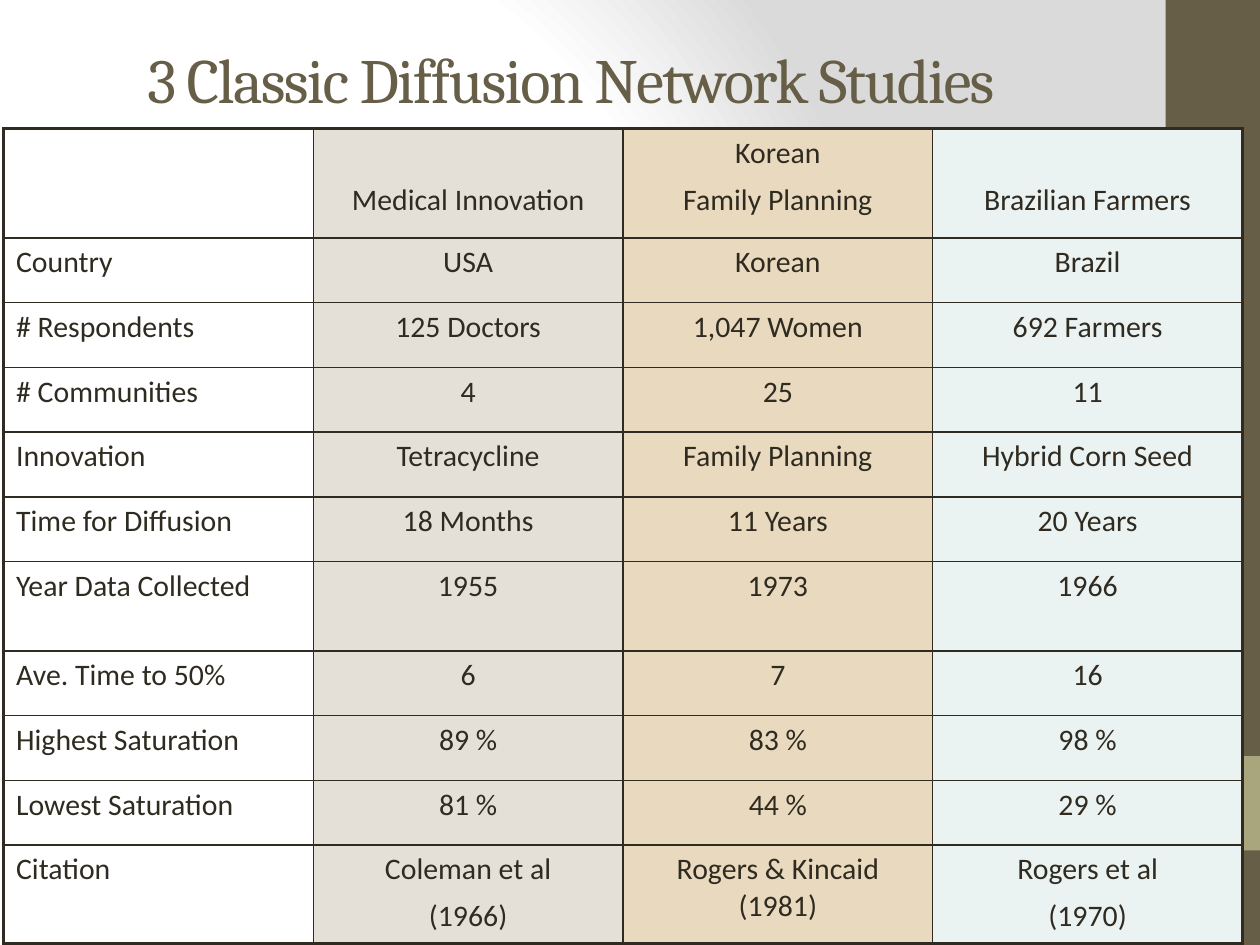
import pptx
import pptx.dml.color
import pptx.enum.shapes
import pptx.enum.text
import pptx.oxml
import pptx.oxml.ns
import pptx.util
from pptx.util import Pt

TITLE = "3 Classic Diffusion Network Studies"
STUDIES = [
    ["", "Medical Innovation", "Korean\nFamily Planning", "Brazilian Farmers"],
    ["Country", "USA", "Korean", "Brazil"],
    ["# Respondents", "125 Doctors", "1,047 Women", "692 Farmers"],
    ["# Communities", "4", "25", "11"],
    ["Innovation", "Tetracycline", "Family Planning", "Hybrid Corn Seed"],
    ["Time for Diffusion", "18 Months", "11 Years", "20 Years"],
    ["Year Data Collected", "1955", "1973", "1966"],
    ["Ave. Time to 50%", "6", "7", "16"],
    ["Highest Saturation", "89 %", "83 %", "98 %"],
    ["Lowest Saturation", "81 %", "44 %", "29 %"],
    ["Citation", "Coleman et al\n(1966)", "Rogers & Kincaid (1981)", "Rogers et al\n(1970)"],
]
COLUMN_FILLS = [None, "E4E0D7", "E9D9BE", "EBF2F2"]
ROW_HEIGHT = 37
TALL_ROWS = {0: 62.5, 6: 51, 10: 56.5}
COLUMN_WIDTH = 177
TABLE_LEFT, TABLE_TOP = 2, 73.5
ONE_LINE_DOWN = 30.35

INK, BROWN, OLIVE = "2F2B20", "675E47", "A9A57C"
BACKGROUND_STOPS = [(0, "FFFFFF"), (75, "FFFFFF"), (100, "DADADA")]
SIDEBAR = [(0, 540, BROWN), (432, 54, OLIVE)]
SIDEBAR_LEFT, SIDEBAR_WIDTH = 666, 54

ALIGN = pptx.enum.text.PP_ALIGN
NAMESPACE = pptx.oxml.ns.nsdecls("a")


def color(hex_value):
    return pptx.dml.color.RGBColor.from_string(hex_value)


def write(frame, text, size, font, ink, align=ALIGN.LEFT, before=0, tracking=None):
    """Fill a text frame, one paragraph per line of text."""
    for number, line in enumerate(text.split("\n")):
        paragraph = frame.add_paragraph() if number else frame.paragraphs[0]
        paragraph.alignment = align
        paragraph.space_before = Pt(before)
        run = paragraph.add_run()
        run.text = line
        run.font.size = Pt(size)
        run.font.name = font
        run.font.bold = False
        run.font.color.rgb = color(ink)
        if tracking is not None:
            run.font._element.set("spc", str(tracking * 100))


def set_background(slide):
    """Give the slide a radial gradient."""
    slide.background.fill.gradient()
    linear = slide.element.find(".//" + pptx.oxml.ns.qn("a:gradFill"))
    stops = "".join(
        f'<a:gs pos="{position * 1000}"><a:srgbClr val="{tint}"/></a:gs>'
        for position, tint in BACKGROUND_STOPS
    )
    radial = pptx.oxml.parse_xml(
        f'<a:gradFill {NAMESPACE} rotWithShape="1"><a:gsLst>{stops}</a:gsLst>'
        '<a:path path="circle"><a:fillToRect l="20000" t="50000" r="100000" b="50000"/>'
        "</a:path></a:gradFill>"
    )
    linear.getparent().replace(linear, radial)


def set_borders(cell, widths):
    """Draw the left, right, top and bottom borders."""
    properties = cell._tc.get_or_add_tcPr()
    for position, (side, width) in enumerate(zip("LRTB", widths)):
        border = pptx.oxml.parse_xml(
            f'<a:ln{side} {NAMESPACE} w="{int(Pt(width))}"><a:solidFill>'
            f'<a:srgbClr val="{INK}"/></a:solidFill></a:ln{side}>'
        )
        properties.insert(position, border)


def add_sidebar(slide):
    for top, height, tint in SIDEBAR:
        block = slide.shapes.add_shape(
            pptx.enum.shapes.MSO_SHAPE.RECTANGLE,
            Pt(SIDEBAR_LEFT), Pt(top), Pt(SIDEBAR_WIDTH), Pt(height),
        )
        block.shadow.inherit = False
        block.fill.solid()
        block.fill.fore_color.rgb = color(tint)
        block.line.fill.background()


def add_title(slide):
    title = slide.shapes.title
    title.left, title.top, title.width, title.height = Pt(77), Pt(0), Pt(588), Pt(90)
    title.text_frame.vertical_anchor = pptx.enum.text.MSO_ANCHOR.MIDDLE
    title.text_frame.auto_size = pptx.enum.text.MSO_AUTO_SIZE.NONE
    write(title.text_frame, TITLE, size=36, font="Cambria", ink=BROWN, tracking=-1)


def add_studies(slide):
    heights = [TALL_ROWS.get(row, ROW_HEIGHT) for row in range(len(STUDIES))]
    last_row, last_column = len(STUDIES) - 1, len(COLUMN_FILLS) - 1
    table = slide.shapes.add_table(
        len(STUDIES), len(COLUMN_FILLS), Pt(TABLE_LEFT), Pt(TABLE_TOP),
        Pt(COLUMN_WIDTH * len(COLUMN_FILLS)), Pt(sum(heights)),
    ).table
    table.first_row = table.horz_banding = False
    for column in table.columns:
        column.width = Pt(COLUMN_WIDTH)
    for r, entries in enumerate(STUDIES):
        table.rows[r].height = Pt(heights[r])
        for c, entry in enumerate(entries):
            cell = table.cell(r, c)
            if COLUMN_FILLS[c]:
                cell.fill.solid()
                cell.fill.fore_color.rgb = color(COLUMN_FILLS[c])
            else:
                cell.fill.background()
            outer = (c == 0, c == last_column, r == 0, r == last_row)
            set_borders(cell, [2.25 if edge else 1 for edge in outer])
            if r == 0 and entry and "\n" not in entry:
                cell.margin_top = Pt(ONE_LINE_DOWN)
            if entry:
                write(cell.text_frame, entry, size=17, font="Calibri", ink=INK,
                      align=ALIGN.CENTER if c else ALIGN.LEFT, before=6)


def main():
    deck = pptx.Presentation()
    deck.slide_width, deck.slide_height = Pt(720), Pt(540)
    slide = deck.slides.add_slide(deck.slide_layouts[5])
    set_background(slide)
    add_sidebar(slide)
    add_title(slide)
    add_studies(slide)
    deck.save("out.pptx")


if __name__ == "__main__":
    main()
